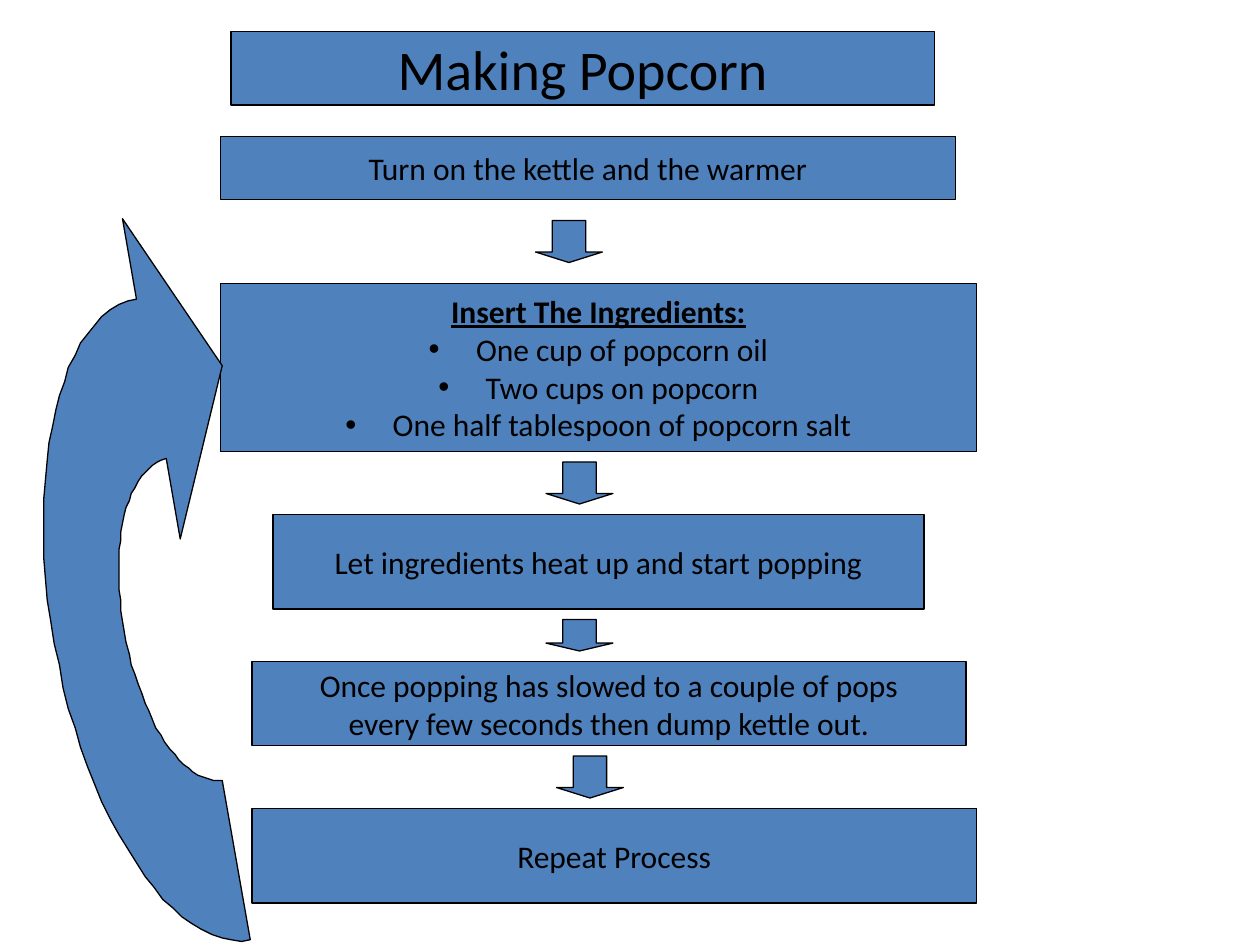
from lxml.etree import SubElement
from pptx import Presentation
from pptx.dml.color import RGBColor
from pptx.enum.shapes import MSO_SHAPE
from pptx.enum.text import MSO_ANCHOR, PP_ALIGN
from pptx.oxml.ns import qn
from pptx.util import Pt

BLUE = RGBColor(0x4F, 0x81, 0xBD)
BLACK = RGBColor(0, 0, 0)
FONT = "Calibri"
HEADING = "Insert The Ingredients:"
INDENT = 27
CURVE_STEPS = 24

# Boxes: left, top, width, height, text size, paragraphs
BOXES = [
    (132, 18, 402, 42, 32, ["Making Popcorn"]),
    (126, 78, 420, 36, 18, ["Turn on the kettle and the warmer"]),
    (126, 162, 432, 96, 18, [HEADING, "One cup of popcorn oil", "Two cups on popcorn",
                             "One half tablespoon of popcorn salt"]),
    (156, 294, 372, 54, 18, ["Let ingredients heat up and start popping"]),
    (144, 378, 408, 48, 18, ["Once popping has slowed to a couple of pops",
                             "every few seconds then dump kettle out."]),
    (144, 462, 414, 54, 18, ["Repeat Process"]),
]

# Down arrows: left, top, height
ARROW_WIDTH = 38.25
ARROWS = [(312, 264, 24), (312, 354, 18), (306, 126, 24), (318, 432, 24)]

# Repeat arrow: each step is a line (one point) or a Bezier curve (three points)
REPEAT_START = (94.9, 262.4)
REPEAT_STEPS = [
    [(72.7, 266.4), (62.1, 310.5), (71.1, 361.2)],
    [(80.1, 411.9), (105.3, 449.5), (127.2, 445.6)],
    [(143.3, 537.2)],
    [(99.6, 544.5), (49.1, 469), (31.1, 368)],
    [(13.1, 267), (34.6, 178.5), (78.5, 170.8)],
    [(70.4, 125.3)],
    [(126.6, 209.4)],
    [(103, 308.2)],
]


def curve_points(start, control_1, control_2, end):
    """Return points along a cubic Bezier curve, without its start."""
    points = []
    for step in range(1, CURVE_STEPS + 1):
        t = step / CURVE_STEPS
        weights = ((1 - t) ** 3, 3 * t * (1 - t) ** 2, 3 * t ** 2 * (1 - t), t ** 3)
        corners = (start, control_1, control_2, end)
        points.append(tuple(sum(w * corner[axis] for w, corner in zip(weights, corners))
                            for axis in (0, 1)))
    return points


def style_shape(shape):
    shape.shadow.inherit = False
    shape.fill.solid()
    shape.fill.fore_color.rgb = BLUE
    shape.line.color.rgb = BLACK
    shape.line.width = Pt(0.75)


def add_preset(slide, kind, left, top, width, height):
    shape = slide.shapes.add_shape(kind, Pt(left), Pt(top), Pt(width), Pt(height))
    style_shape(shape)
    return shape


def indent_paragraph(paragraph, bullet):
    properties = paragraph._p.get_or_add_pPr()
    properties.set("marL", str(Pt(INDENT)))
    properties.set("indent", str(-Pt(INDENT)))
    if bullet:
        SubElement(properties, qn("a:buFont"), typeface="Arial")
        SubElement(properties, qn("a:buChar"), char="•")


def add_box(slide, left, top, width, height, size, lines):
    shape = add_preset(slide, MSO_SHAPE.FLOWCHART_PROCESS, left, top, width, height)
    frame = shape.text_frame
    frame.word_wrap = False
    frame.vertical_anchor = MSO_ANCHOR.MIDDLE
    for index, line in enumerate(lines):
        paragraph = frame.add_paragraph() if index else frame.paragraphs[0]
        paragraph.text = line
        paragraph.alignment = PP_ALIGN.CENTER
        is_heading = line == HEADING
        if HEADING in lines:
            indent_paragraph(paragraph, bullet=not is_heading)
        font = paragraph.font
        font.name = FONT
        font.size = Pt(size)
        font.color.rgb = BLACK
        if is_heading:
            font.bold = font.underline = True


def add_repeat_arrow(slide):
    points = [REPEAT_START]
    for step in REPEAT_STEPS:
        points += step if len(step) == 1 else curve_points(points[-1], *step)
    builder = slide.shapes.build_freeform(*REPEAT_START, scale=Pt(1))
    builder.add_line_segments(points[1:], close=True)
    style_shape(builder.convert_to_shape())


def main():
    presentation = Presentation()
    presentation.slide_width, presentation.slide_height = Pt(720), Pt(540)
    slide = presentation.slides.add_slide(presentation.slide_layouts[6])

    for box in BOXES:
        add_box(slide, *box)
    add_repeat_arrow(slide)
    for left, top, height in ARROWS:
        arrow = add_preset(slide, MSO_SHAPE.DOWN_ARROW, left, top, ARROW_WIDTH, height)
        arrow.adjustments[0], arrow.adjustments[1] = 0.5, 0.25

    presentation.save("out.pptx")


if __name__ == "__main__":
    main()
